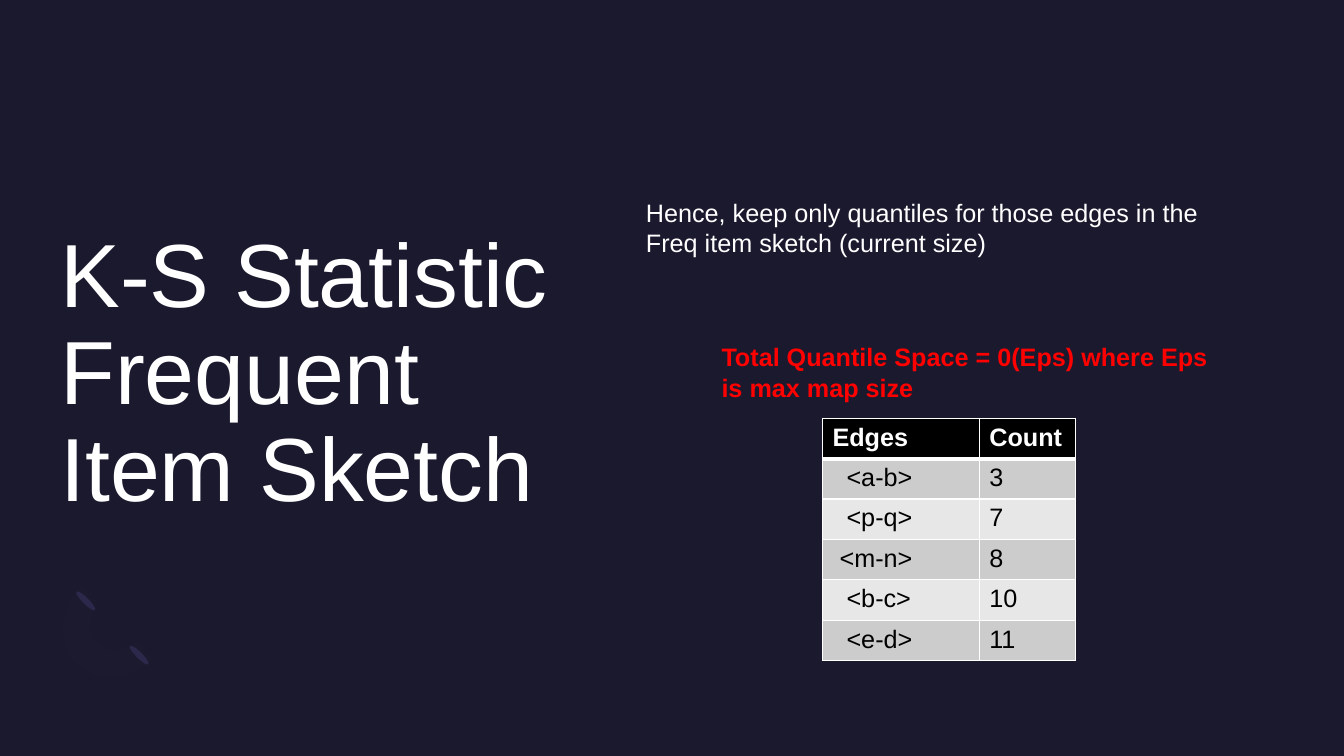
import pptx
import pptx.dml.color
import pptx.enum.shapes
import pptx.enum.text
import pptx.oxml
import pptx.oxml.ns
import pptx.util
from pptx.util import Pt

FONT = "Arial"
COLORS = {
    "background": "1B192E",
    "rim": "2C284A",
    "arc": "7771B2",
    "light": "FFFFFF",
    "dark": "000000",
    "alert": "FF0000",
    "band_odd": "CCCCCC",
    "band_even": "E7E7E7",
}
# Edge, count, and left indent of the edge in points
EDGE_COUNTS = [
    ("<a-b>", "3", 10),
    ("<p-q>", "7", 10),
    ("<m-n>", "8", 5),
    ("<b-c>", "10", 10),
    ("<e-d>", "11", 10),
]
# Cubic curves of the arc's outer and inner edges, in points
ARC_OUTER = [(109.4, 471), (93.6, 486.9), (69.1, 488.9), (54.7, 474.5),
             (40.3, 460.1), (41.8, 435.6), (58.3, 419)]
ARC_INNER = [(71.3, 432), (62.6, 439.9), (61.9, 452.9), (69.1, 459.4),
             (76.3, 466.6), (88.6, 465.8), (97.2, 457.9)]


def rgb(name):
    return pptx.dml.color.RGBColor.from_string(COLORS[name])


def fill_plain(sp, color):
    sp.shadow.inherit = False
    sp.fill.solid()
    sp.fill.fore_color.rgb = rgb(color)
    sp.line.fill.background()


def add_run(p, text, size, color, bold=False):
    r = p.add_run()
    r.text = text
    r.font.name = FONT
    r.font.size = Pt(size)
    r.font.bold = bold
    r.font.color.rgb = rgb(color)


def add_rim(s, left, top):
    sp = s.shapes.add_shape(pptx.enum.shapes.MSO_SHAPE.OVAL,
                            Pt(left), Pt(top), Pt(4.4), Pt(18.7))
    sp.rotation = 135
    fill_plain(sp, "rim")


def curve_points(nodes, steps=12):
    """Sample a chain of cubic Bezier curves."""
    points = [nodes[0]]
    for start in range(0, len(nodes) - 1, 3):
        a, b, c, d = nodes[start:start + 4]
        for step in range(1, steps + 1):
            t = step / steps
            u = 1 - t
            points.append(tuple(
                u**3 * a[i] + 3 * u * u * t * b[i] + 3 * u * t * t * c[i] + t**3 * d[i]
                for i in (0, 1)))
    return points


def add_arc(s):
    points = curve_points(ARC_OUTER) + curve_points(ARC_INNER)
    builder = s.shapes.build_freeform(*points[0], scale=Pt(1))
    builder.add_line_segments(points[1:], close=True)
    sp = builder.convert_to_shape()
    fill_plain(sp, "arc")
    color = sp.fill._xPr.find(".//" + pptx.oxml.ns.qn("a:srgbClr"))
    color.append(pptx.oxml.parse_xml(
        f'<a:alpha {pptx.oxml.ns.nsdecls("a")} val="1000"/>'))


def set_title(s, lines):
    title = s.shapes.title
    title.left, title.top, title.width, title.height = Pt(43.2), Pt(119.5), Pt(357), Pt(297.4)
    tf = title.text_frame
    tf.word_wrap = True
    tf.auto_size = pptx.enum.text.MSO_AUTO_SIZE.NONE
    tf.vertical_anchor = pptx.enum.text.MSO_ANCHOR.MIDDLE
    tf.margin_left = tf.margin_top = tf.margin_right = tf.margin_bottom = 0
    p = tf.paragraphs[0]
    p.alignment = pptx.enum.text.PP_ALIGN.LEFT
    p.line_spacing = 0.9
    for i, line in enumerate(lines):
        if i:
            p.add_line_break()
        add_run(p, line, 64, "light")


def add_note(s, left, top, width, text, color, bold=False, level=0):
    sp = s.shapes.add_textbox(Pt(left), Pt(top), Pt(width), Pt(50.9))
    tf = sp.text_frame
    tf.word_wrap = True
    tf.auto_size = pptx.enum.text.MSO_AUTO_SIZE.SHAPE_TO_FIT_TEXT
    p = tf.paragraphs[0]
    p.level = level
    p._p.get_or_add_pPr().set("marL", str(Pt(36 * level)))
    add_run(p, text, 18, color, bold)


def set_borders(cell, bottom):
    props = cell._tc.get_or_add_tcPr()
    widths = {"L": 1, "R": 1, "T": 1, "B": bottom}
    for i, (side, width) in enumerate(widths.items()):
        props.insert(i, pptx.oxml.parse_xml(
            f'<a:ln{side} {pptx.oxml.ns.nsdecls("a")} w="{Pt(width)}"><a:solidFill>'
            f'<a:srgbClr val="{COLORS["light"]}"/></a:solidFill></a:ln{side}>'))


def fill_cell(cell, text, fill, color, bold=False, indent=0, bottom=1):
    cell.margin_left = Pt(7.2 + indent)
    cell.fill.solid()
    cell.fill.fore_color.rgb = rgb(fill)
    add_run(cell.text_frame.paragraphs[0], text, 18, color, bold)
    set_borders(cell, bottom)


def add_edge_table(s):
    rows = len(EDGE_COUNTS) + 1
    frame = s.shapes.add_table(rows, 2, Pt(587.5), Pt(298.8), Pt(181), Pt(28.8 * rows))
    table = frame.table
    table.columns[0].width, table.columns[1].width = Pt(112), Pt(69)
    for col, heading in enumerate(("Edges", "Count")):
        fill_cell(table.cell(0, col), heading, "dark", "light", bold=True, bottom=3)
    for row, (edge, count, indent) in enumerate(EDGE_COUNTS, 1):
        band = "band_odd" if row % 2 else "band_even"
        fill_cell(table.cell(row, 0), edge, band, "dark", indent=indent)
        fill_cell(table.cell(row, 1), count, band, "dark")


def main():
    prs = pptx.Presentation()
    prs.slide_width, prs.slide_height = Pt(960), Pt(540)
    s = prs.slides.add_slide(prs.slide_layouts.get_by_name("Title Only"))
    s.background.fill.solid()
    s.background.fill.fore_color.rgb = rgb("background")
    add_rim(s, 97.2, 458.6)
    add_rim(s, 59, 419.8)
    add_arc(s)
    set_title(s, ["K-S Statistic", "Frequent Item Sketch"])
    add_note(s, 454.3, 137.5, 433.4,
             "Hence, keep only quantiles for those edges in the Freq item sketch (current size)",
             "light")
    add_edge_table(s)
    add_note(s, 400.3, 240.5, 477.4,
             "Total Quantile Space = 0(Eps) where Eps is max map size",
             "alert", bold=True, level=3)
    prs.save("out.pptx")


if __name__ == "__main__":
    main()
